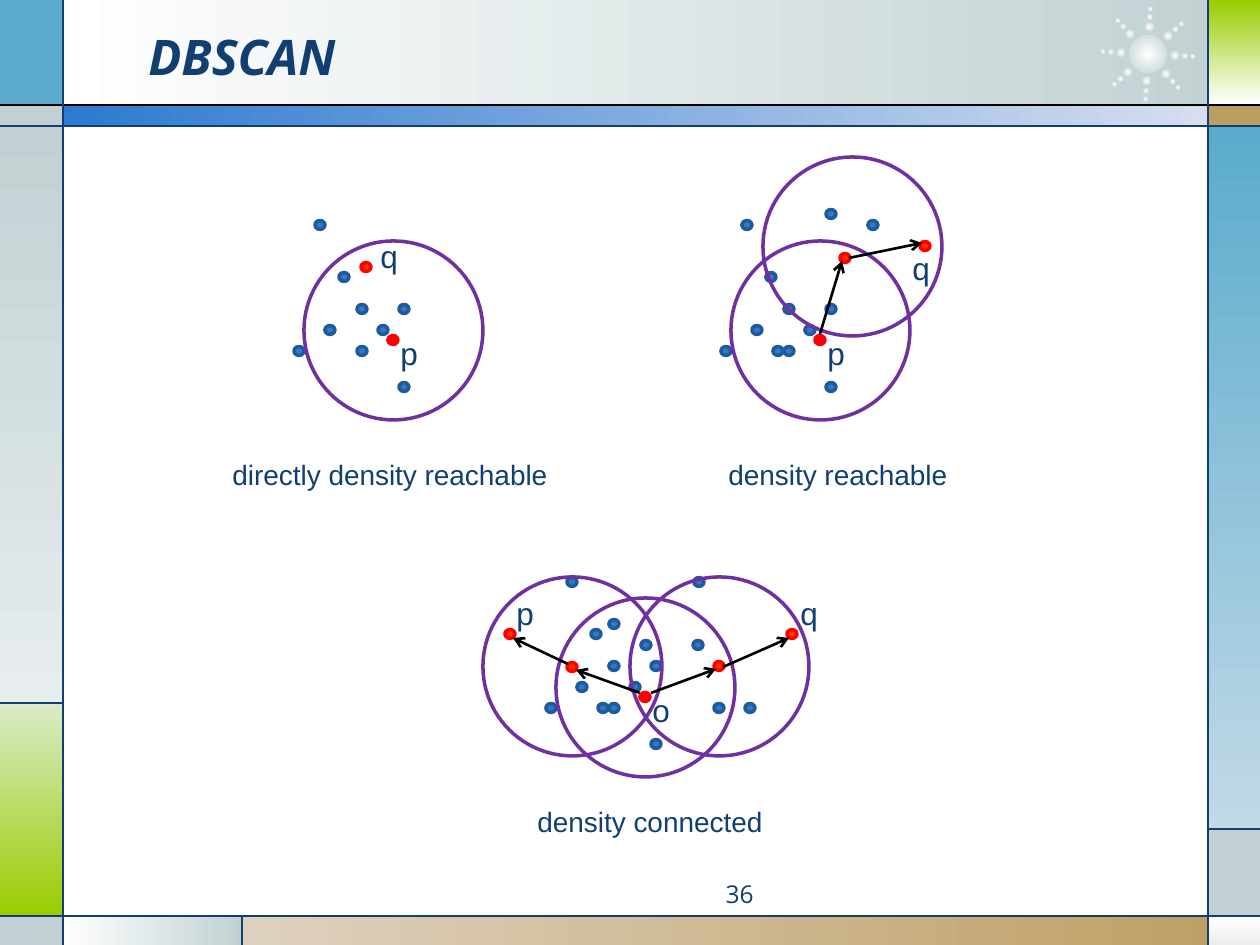
from math import cos, sin, radians
from lxml.etree import SubElement
from pptx import Presentation
from pptx.dml.color import RGBColor as RGB
from pptx.enum.shapes import MSO_CONNECTOR as CONN, MSO_SHAPE as SHAPE
from pptx.enum.text import MSO_ANCHOR as ANCHOR, PP_ALIGN as ALIGN
from pptx.oxml.ns import qn
from pptx.util import Pt


class Theme:
    navy, black, white = '113F71', '000000', 'FFFFFF'
    gray, mist, silver = 'C1D1D3', 'E7EDEE', 'EDEDED'
    sky, pale_sky = '5AABCC', 'C2D9E7'
    lime, pale_lime = '99CC00', 'DBEBC9'
    tan, pale_tan = 'BD9E61', 'DED1BF'
    blue, pale_blue, dot_edge = '2D7ACF', 'D7DEF0', '215A99'
    red, orange, purple = 'FF0000', 'FF3300', '7030A0'
    heading, body = 'Open Sans', 'Arial'
    title, label, caption, number = 28, 18, 16, 14


PX = 914400 // 126
W, H = 1260, 945
RIGHT, DOWN, RADIAL = 0, 270, None

prs = Presentation()
prs.slide_width, prs.slide_height = W * PX, H * PX
s = prs.slides.add_slide(prs.slide_layouts[6])


def add_shape(kind, box, fill=None, line=None):
    sp = s.shapes.add_shape(kind, *[round(v * PX) for v in box])
    sp.shadow.inherit = False
    if fill is None:
        sp.fill.background()
    elif isinstance(fill, str):
        sp.fill.solid()
        sp.fill.fore_color.rgb = RGB.from_string(fill)
    else:
        start, end, angle = fill
        sp.fill.gradient()
        for stop, color in zip(sp.fill.gradient_stops, (start, end)):
            stop.color.rgb = RGB.from_string(color)
        if angle is RADIAL:
            grad = sp._element.spPr.find(qn('a:gradFill'))
            grad.remove(grad.find(qn('a:lin')))
            shade = SubElement(grad, qn('a:path'), path='circle')
            SubElement(shade, qn('a:fillToRect'), l='50000', t='50000', r='50000', b='50000')
        else:
            sp.fill.gradient_angle = angle
    if line:
        sp.line.color.rgb = RGB.from_string(line)
        sp.line.width = Pt(2)
    else:
        sp.line.fill.background()


def add_text(text, box, size, font=Theme.body, wrap=True, align=ALIGN.LEFT, bold=None):
    tf = s.shapes.add_textbox(*[v * PX for v in box]).text_frame
    tf.word_wrap = wrap
    tf.text = text
    p = tf.paragraphs[0]
    p.alignment = align
    r = p.runs[0]
    r.font.name, r.font.size = font, Pt(size)
    r.font.bold = r.font.italic = bold
    r.font.color.rgb = RGB.from_string(Theme.navy)
    return tf


panels = [
    ((63, 0, 1168, 105), (Theme.white, Theme.gray, RIGHT)),
    ((0, 0, 63, 105), Theme.sky),
    ((0, 105, 63, 21), Theme.gray),
    ((0, 126, 63, 577), (Theme.gray, Theme.mist, DOWN)),
    ((0, 703, 63, 213), (Theme.pale_lime, Theme.lime, DOWN)),
    ((0, 916, 63, 29), Theme.gray),
    ((63, 916, 179, 29), (Theme.white, Theme.gray, RIGHT)),
    ((242, 916, 1018, 29), (Theme.pale_tan, Theme.tan, RIGHT)),
    ((1208, 916, 52, 29), (Theme.white, Theme.silver, DOWN)),
    ((1208, 829, 52, 87), Theme.gray),
    ((1208, 126, 52, 703), (Theme.sky, Theme.pale_sky, DOWN)),
    ((1208, 105, 52, 21), Theme.tan),
    ((1208, 0, 52, 105), (Theme.lime, Theme.white, DOWN)),
    ((63, 105, 1145, 21), (Theme.blue, Theme.pale_blue, RIGHT)),
]
for box, fill in panels:
    add_shape(SHAPE.RECTANGLE, box, fill)

glow = (Theme.white, Theme.gray, RADIAL)
star_x, star_y = 1148, 54
add_shape(SHAPE.OVAL, (star_x - 19, star_y - 19, 38, 38), glow)
for ray in range(8):
    angle = radians(45 * ray + 3)
    for radius, size in ((27, 9), (37, 6), (45, 5)):
        x, y = star_x + radius * cos(angle), star_y + radius * sin(angle)
        add_shape(SHAPE.OVAL, (x - size / 2, y - size / 2, size, size), glow)

cluster = [(344, 277), (330, 330), (362, 309), (404, 309), (362, 351),
           (383, 330), (299, 351), (404, 387), (320, 225)]
core, core_circle, core_label = (393, 340), (393, 330), (388, 328)
figures = [
    dict(shift=(0, 0), core='p', dots=[], reached=[(366, 267)], circles=[],
         labels=[('q', 368, 231)],
         caption=('directly density reachable', (220, 451, 349, 47))),
    dict(shift=(427, 0), core='p',
         dots=[(778, 351), (831, 214), (873, 225)],
         reached=[(925, 246), (845, 258)], circles=[(852, 246)],
         labels=[('q', 900, 243)],
         caption=('density reachable', (716, 451, 247, 47))),
    dict(shift=(252, 357), core='o',
         dots=[(603, 708), (698, 645), (699, 582), (750, 708), (614, 624),
               (646, 645), (719, 708)],
         reached=[(719, 666), (792, 634), (572, 667), (510, 634)],
         circles=[(719, 666), (572, 666)],
         labels=[('q', 788, 588), ('p', 504, 588)],
         caption=('density connected', (525, 798, 258, 47))),
]
for fig in figures:
    dx, dy = fig['shift']
    dots = [(x + dx, y + dy, Theme.blue, Theme.dot_edge) for x, y in cluster]
    dots += [(x, y, Theme.blue, Theme.dot_edge) for x, y in fig['dots']]
    dots += [(x, y, Theme.orange, Theme.red) for x, y in fig['reached']]
    dots.append((core[0] + dx, core[1] + dy, Theme.red, Theme.red))
    for x, y, fill, edge in dots:
        add_shape(SHAPE.OVAL, (x - 5, y - 4.5, 10, 9), fill, edge)
    for x, y in [(core_circle[0] + dx, core_circle[1] + dy)] + fig['circles']:
        add_shape(SHAPE.OVAL, (x - 89, y - 89, 179, 179), None, Theme.purple)
    labels = fig['labels'] + [(fig['core'], core_label[0] + dx, core_label[1] + dy)]
    for text, x, y in labels:
        add_text(text, (x, y, 67, 50), Theme.label)
    add_text(*fig['caption'], Theme.caption, wrap=False)

rules = [(0, 126, W, 126), (0, 916, W, 916), (63, 0, 63, H), (1208, 0, 1208, H),
         (63, 703, 0, 703), (242, 916, 242, H), (1208, 829, W, 829)]
arrows = [(820, 334, 842, 261), (849, 258, 922, 243), (651, 693, 716, 669),
          (723, 667, 789, 638), (640, 693, 576, 670), (568, 664, 513, 638)]
lines = [((0, 105, W, 105), Theme.black, 0.75, False)]
lines += [(ends, Theme.navy, 0.75, False) for ends in rules]
lines += [(ends, Theme.black, 1.5, True) for ends in arrows]
for ends, color, width, pointed in lines:
    cn = s.shapes.add_connector(CONN.STRAIGHT, *[v * PX for v in ends])
    cn.line.color.rgb = RGB.from_string(color)
    cn.line.width = Pt(width)
    if pointed:
        SubElement(cn.line._get_or_add_ln(), qn('a:tailEnd'), type='arrow')
    SubElement(cn._element.spPr, qn('a:effectLst'))

title = add_text('DBSCAN', (136, 17, 924, 78), Theme.title, Theme.heading, bold=True)
title.vertical_anchor = ANCHOR.MIDDLE
add_text('36', (472, 873, 294, 34), Theme.number, Theme.heading, align=ALIGN.RIGHT)

prs.save("out.pptx")
